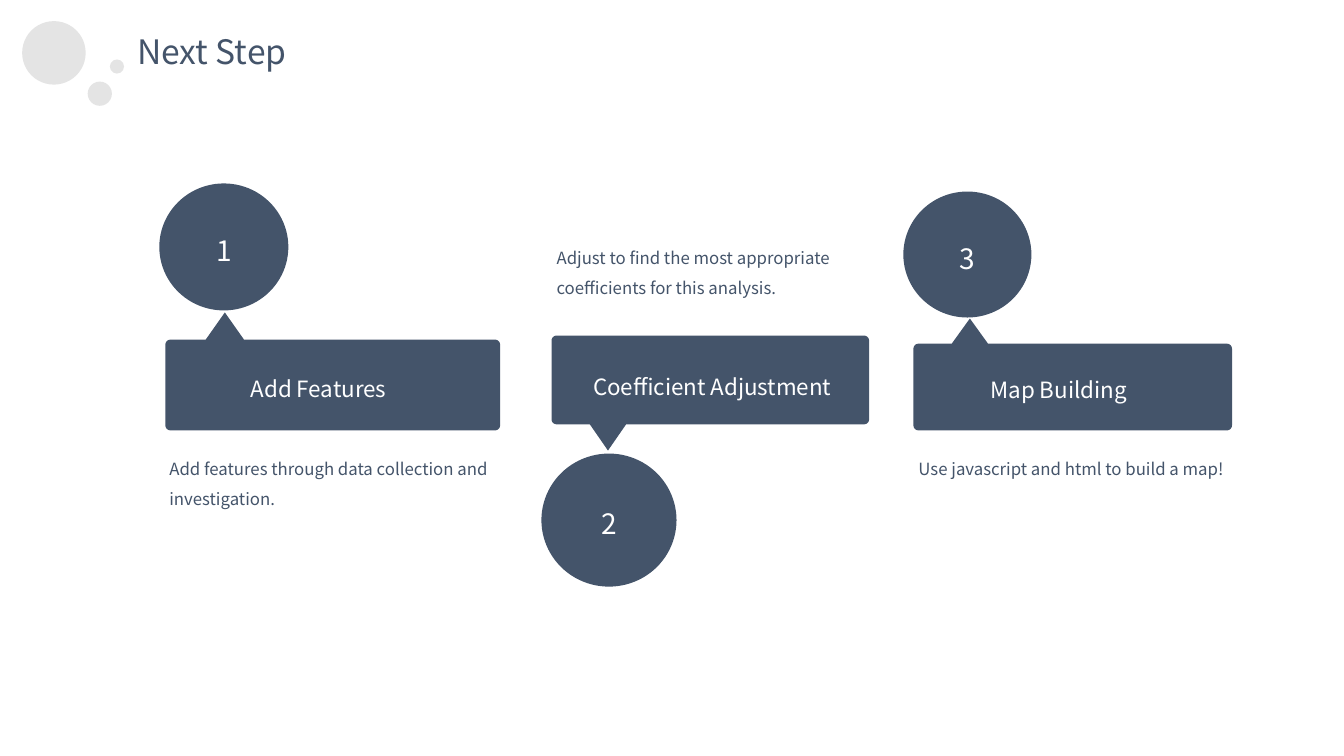
import math
import pptx
import pptx.util
import pptx.dml.color
import pptx.enum.shapes
import pptx.enum.text
import pptx.oxml
import pptx.oxml.ns

NAVY = pptx.dml.color.RGBColor(0x44, 0x54, 0x6A)
GREY = pptx.dml.color.RGBColor(0xD9, 0xD9, 0xD9)
WHITE = pptx.dml.color.RGBColor(0xFF, 0xFF, 0xFF)
FONT = "Noto Sans CJK SC"
CELL = pptx.util.Inches(0.1)
CORNER = 0.5

TITLE = ("Next Step", (12.6, 2.6, 17.8, 5))
BUBBLES = [(2.2, 2.1, 6.3), (8.7, 8.1, 2.4), (10.9, 5.9, 1.4)]
STEPS = [
    {"number": "1", "circle": (15.8, 18.2, 12.8, 12.6),
     "bar": (16.4, 33.7, 33.2, 9), "tip": (22.3, 31, 1.9),
     "name": "Add Features", "name_box": (21.2, 37.2, 20.8, 2.7),
     "note": "Add features through data collection and investigation.",
     "note_box": (16.8, 44.5, 32.1, 5.7)},
    {"number": "2", "circle": (53.7, 45, 13.4, 13.2),
     "bar": (54.7, 33.3, 31.5, 8.8), "tip": (60.3, 44.7, 1.8),
     "name": "Coefficient Adjustment", "name_box": (54.4, 37, 32.5, 2.7),
     "note": "Adjust to find the most appropriate coefficients for this analysis.",
     "note_box": (55.2, 23.6, 31.8, 5.7)},
    {"number": "3", "circle": (89.6, 19, 12.7, 12.5),
     "bar": (90.6, 34.1, 31.6, 8.6), "tip": (96.2, 31.6, 1.8),
     "name": "Map Building", "name_box": (94.1, 37.3, 21.8, 2.7),
     "note": "Use javascript and html to build a map!",
     "note_box": (91.1, 44.5, 30.4, 5.7)},
]


def cells(values):
    return [round(v * CELL) for v in values]


def paint(sp, color):
    sp.shadow.inherit = False
    sp.fill.solid()
    sp.fill.fore_color.rgb = color
    sp.line.fill.background()


def write(sp, text, size, color, align, spacing=1.0, inset=0.0, wrap=True,
          anchor=pptx.enum.text.MSO_ANCHOR.TOP):
    tf = sp.text_frame
    tf.text = text
    tf.word_wrap = wrap
    tf.auto_size = pptx.enum.text.MSO_AUTO_SIZE.NONE
    tf.vertical_anchor = anchor
    tf.margin_left = tf.margin_right = pptx.util.Inches(inset)
    tf.margin_top = tf.margin_bottom = pptx.util.Inches(min(inset, 0.05))
    p = tf.paragraphs[0]
    p.alignment = align
    p.line_spacing = spacing
    font = p.runs[0].font
    font.name, font.size, font.color.rgb = FONT, pptx.util.Pt(size), color


def oval(s, box, color):
    sp = s.shapes.add_shape(pptx.enum.shapes.MSO_SHAPE.OVAL, *cells(box))
    paint(sp, color)
    return sp


def callout(s, bar, tip):
    left, top, width, height = bar
    x, y, half = tip
    right, bottom = left + width, top + height
    points_up = y < top
    corners = [(left + CORNER, top + CORNER, 180), (right - CORNER, top + CORNER, 270),
               (right - CORNER, bottom - CORNER, 0), (left + CORNER, bottom - CORNER, 90)]
    outline = []
    for i, (cx, cy, start) in enumerate(corners):
        for step in range(7):
            angle = math.radians(start + 15 * step)
            outline.append((cx + CORNER * math.cos(angle), cy + CORNER * math.sin(angle)))
        if points_up and i == 0:
            outline += [(x - half, top), (x, y), (x + half, top)]
        elif not points_up and i == 2:
            outline += [(x + half, bottom), (x, y), (x - half, bottom)]
    points = [cells(point) for point in outline]
    builder = s.shapes.build_freeform(*points[0])
    builder.add_line_segments(points[1:], close=True)
    paint(builder.convert_to_shape(), NAVY)


def main():
    left = pptx.enum.text.PP_ALIGN.LEFT
    center = pptx.enum.text.PP_ALIGN.CENTER
    prs = pptx.Presentation()
    prs.slide_width, prs.slide_height = pptx.util.Inches(13.33), pptx.util.Inches(7.5)
    s = prs.slides.add_slide(prs.slide_layouts[5])

    title = s.shapes.title
    title.left, title.top, title.width, title.height = cells(TITLE[1])
    write(title, TITLE[0], 24, NAVY, left, inset=0.1, wrap=False)

    for x, y, size in BUBBLES:
        sp = oval(s, (x, y, size, size), GREY)
        color = sp.fill._xPr.find(".//" + pptx.oxml.ns.qn("a:srgbClr"))
        color.append(pptx.oxml.parse_xml(
            "<a:alpha %s val='70000'/>" % pptx.oxml.ns.nsdecls("a")))

    for step in STEPS:
        callout(s, step["bar"], step["tip"])
        write(oval(s, step["circle"], NAVY), step["number"], 20, WHITE, center,
              spacing=1.2, inset=0.03, anchor=pptx.enum.text.MSO_ANCHOR.MIDDLE)
        name = s.shapes.add_textbox(*cells(step["name_box"]))
        write(name, step["name"], 16, WHITE, center)
        note = s.shapes.add_textbox(*cells(step["note_box"]))
        write(note, step["note"], 12, NAVY, left, spacing=1.5)

    prs.save("out.pptx")


if __name__ == "__main__":
    main()
